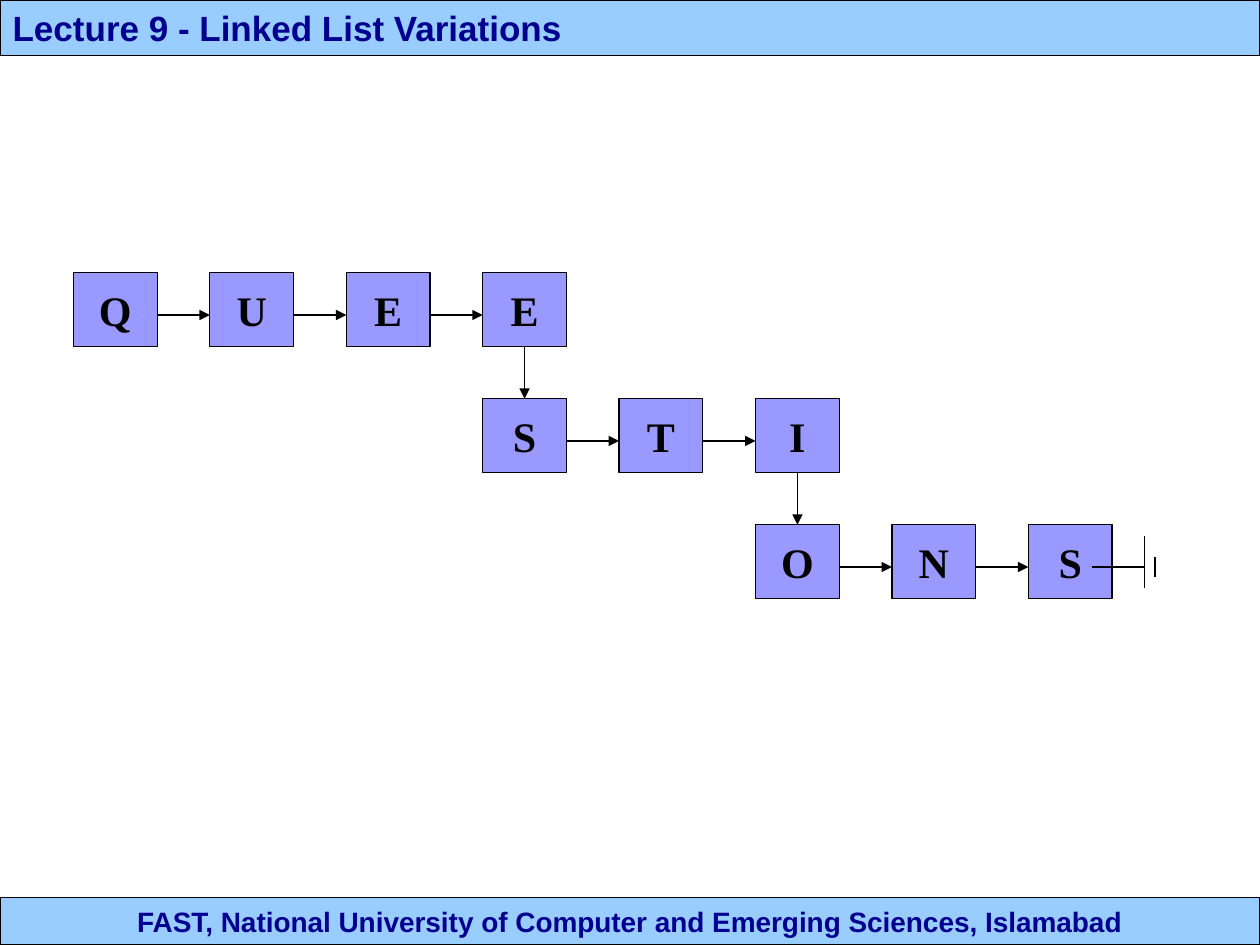
from lxml.etree import SubElement as Sub
from pptx import Presentation
from pptx.dml.color import RGBColor
from pptx.enum.shapes import MSO_CONNECTOR as Link, MSO_SHAPE as Form
from pptx.enum.text import MSO_ANCHOR as Anchor, MSO_AUTO_SIZE as Fit, PP_ALIGN as Align
from pptx.oxml.ns import qn
from pptx.util import Cm, Pt

BLACK = RGBColor(0x00, 0x00, 0x00)
NAVY = RGBColor(0x00, 0x00, 0x90)
SKY = RGBColor(0x99, 0xCC, 0xFF)
LILAC = RGBColor(0x99, 0x99, 0xFF)

deck = Presentation()
deck.slide_width, deck.slide_height = Cm(25.4), Cm(19.05)
slide = deck.slides.add_slide(deck.slide_layouts[5])
shapes = slide.shapes


def dress(shape, text, fill, font, size, color, align):
    shape.fill.solid()
    shape.fill.fore_color.rgb = fill
    shape.line.color.rgb = BLACK
    shape.line.width = Pt(0.75)
    frame = shape.text_frame
    frame.text = text
    frame.auto_size = Fit.NONE
    frame.vertical_anchor = Anchor.MIDDLE
    para = frame.paragraphs[0]
    para.alignment = align
    run = para.runs[0]
    run.font.name, run.font.size, run.font.bold = font, Pt(size), True
    run.font.color.rgb = color


def draw(x1, y1, x2, y2, width=0.75, arrow=True):
    line = shapes.add_connector(Link.STRAIGHT, Cm(x1), Cm(y1), Cm(x2), Cm(y2))
    line.line.color.rgb = BLACK
    line.line.width = Pt(width)
    if arrow:
        Sub(line.line._get_or_add_ln(), qn("a:tailEnd"), type="triangle")
    Sub(line._element.spPr, qn("a:effectLst"))
    return line


foot = shapes.add_shape(Form.RECTANGLE, 0, Cm(18.09), Cm(25.4), Cm(0.96))
foot.shadow.inherit = False
dress(foot, "FAST, National University of Computer and Emerging Sciences, Islamabad",
      SKY, "Arial", 16, NAVY, Align.CENTER)

title = shapes.title
title.left, title.top, title.width, title.height = 0, 0, Cm(25.4), Cm(1.12)
dress(title, "Lecture 9 - Linked List Variations", SKY, "Arial", 20, NAVY, Align.LEFT)

LEFT, TOP = 1.48, 5.5
WIDE, HIGH = 1.69, 1.48
STEP, DROP = 2.75, 2.54
AXIS = 0.85

last = None
for row, (start, word) in enumerate([(0, "QUEE"), (3, "STI"), (5, "ONS")]):
    y = TOP + row * DROP
    for col, char in enumerate(word, start):
        x = LEFT + col * STEP
        node = shapes.add_shape(Form.RECTANGLE, Cm(x), Cm(y), Cm(WIDE), Cm(HIGH))
        node.shadow.inherit = False
        dress(node, char, LILAC, "Times New Roman", 24, BLACK, Align.CENTER)
        node.text_frame.word_wrap = False
        if col > start:
            draw(x - STEP + WIDE, y + AXIS, x, y + AXIS)
        elif last:
            mid = x + WIDE / 2
            down = draw(mid, y - DROP + HIGH, mid, y)
            down.begin_connect(last, 2)
            down.end_connect(node, 0)
        last = node

for ends in [(22.01, 11.43, 23.07, 11.43), (23.07, 10.8, 23.07, 11.85),
             (23.28, 11.22, 23.28, 11.64)]:
    draw(*ends, width=1, arrow=False)

deck.save("out.pptx")
